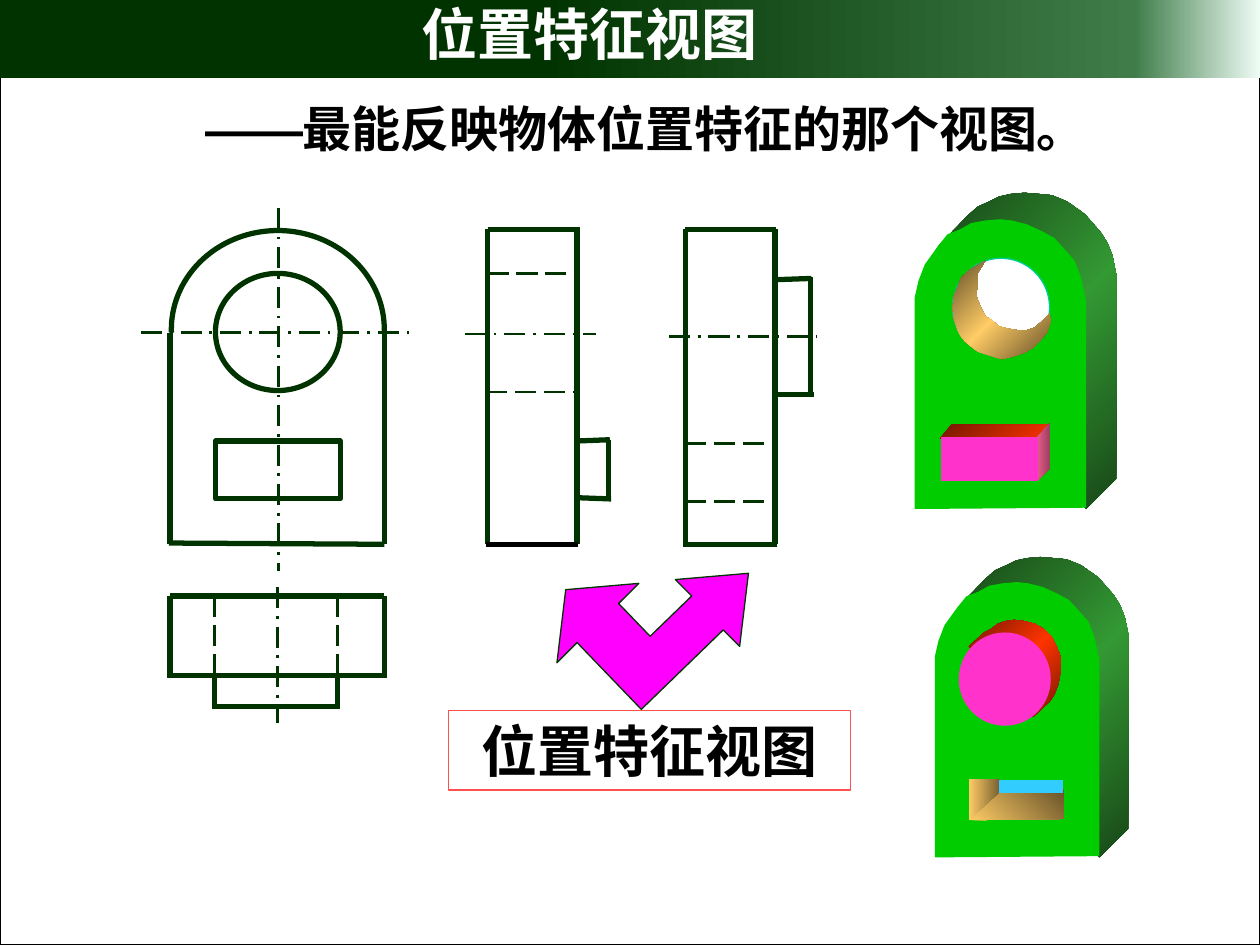
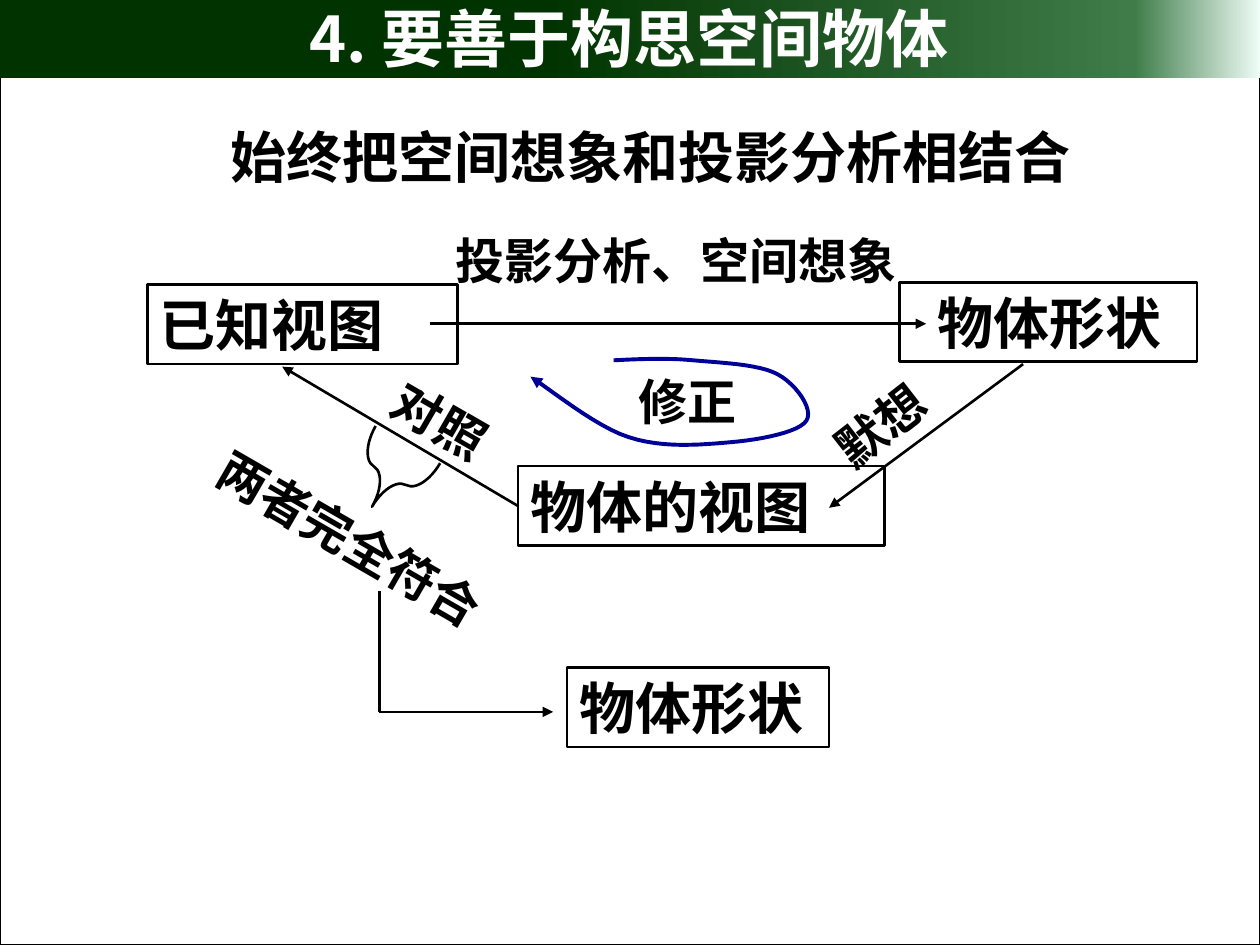
from lxml.etree import SubElement
from pptx import Presentation
from pptx.dml.color import RGBColor as RGB
from pptx.enum.dml import MSO_LINE
from pptx.enum.shapes import MSO_CONNECTOR, MSO_SHAPE as SHAPE
from pptx.enum.text import MSO_ANCHOR as ANCHOR, PP_ALIGN as ALIGN
from pptx.oxml.ns import qn
from pptx.util import Inches, Pt

BLACK = RGB(0, 0, 0)
WHITE = RGB(255, 255, 255)
DARK = RGB(0x00, 0x33, 0x00)
GREEN = RGB(0x00, 0xCC, 0x00)
PINK = RGB(0xFF, 0x33, 0xCC)
PURPLE = RGB(0xFF, 0x00, 0xFF)
SKY = RGB(0x33, 0xCC, 0xFF)
TEAL = RGB(0x00, 0xCC, 0x99)
CORAL = RGB(0xFF, 0x50, 0x50)
NAVY = RGB(0x00, 0x00, 0x99)
MOSS = RGB(0x18, 0x47, 0x18)
LEAF = RGB(0x33, 0x99, 0x33)
SAND = RGB(0xFF, 0xCC, 0x66)
BROWN = RGB(0x64, 0x50, 0x28)
RUST = RGB(0x76, 0x18, 0x00)
RED = RGB(0xFF, 0x33, 0x00)

# Gradients: stops in percent, then the angle
BAND = ([(43, DARK), (90, RGB(0x3F, 0x7C, 0x49)), (100, RGB(0xEE, 0xFC, 0xF6))], 0)
SIDE = ([(0, MOSS), (50, LEAF), (100, MOSS)], 45)
BORE = ([(0, BROWN), (50, SAND), (100, BROWN)], 45)
PEG = ([(0, RUST), (50, RED), (100, RUST)], 45)
LEDGE = ([(0, RUST), (100, RED)], 45)
CHEEK = ([(0, RGB(0xFF, 0x66, 0x99)), (100, RGB(0xA0, 0x40, 0x60))], 0)
FLOOR = ([(0, SAND), (100, RGB(0x69, 0x54, 0x2A))], 315)
WALL = ([(0, SAND), (100, RGB(0x76, 0x5E, 0x2F))], 0)

CJK = "Noto Sans CJK SC"
ROMAN = "Times New Roman"


def paint(shape, fill=None, line=None, width=0.75, dash=None, arrow=False):
    """Set the fill, line and arrowhead of a shape or connector; no shadow."""
    props = shape._element.spPr
    if hasattr(shape, "fill"):
        if fill is None:
            shape.fill.background()
        elif isinstance(fill, RGB):
            shape.fill.solid()
            shape.fill.fore_color.rgb = fill
        else:
            shape.fill.gradient()
            stops = props.find(".//" + qn("a:gsLst"))
            stops.clear()
            for spot, color in fill[0]:
                stop = SubElement(stops, qn("a:gs"), pos=str(spot * 1000))
                SubElement(stop, qn("a:srgbClr"), val=str(color))
            props.find(".//" + qn("a:lin")).set("ang", str(fill[1] * 60000))
    if line is None:
        shape.line.fill.background()
    else:
        shape.line.color.rgb = line
        shape.line.width = Pt(width)
        if dash:
            shape.line.dash_style = dash
        if arrow:
            SubElement(props.find(qn("a:ln")), qn("a:tailEnd"), type="triangle")
    SubElement(props, qn("a:effectLst"))
    return shape


def write(shape, runs, size, color=BLACK, anchor=ANCHOR.TOP, align=ALIGN.LEFT):
    """Put one bold line of (text, font) runs in a shape."""
    frame = shape.text_frame
    frame.word_wrap = True
    frame.vertical_anchor = anchor
    para = frame.paragraphs[0]
    para.alignment = align
    for text, face in runs:
        run = para.add_run()
        run.text = text
        for name, value in {"size": Pt(size), "bold": True, "name": face}.items():
            setattr(run.font, name, value)
        run.font.color.rgb = color
        east = CJK if face == ROMAN else face
        SubElement(run._r.get_or_add_rPr(), qn("a:ea"), typeface=east)
    return shape


deck = Presentation()
deck.slide_width, deck.slide_height = Inches(10), Inches(7.5)

# Frame, band and title of both slides
titles = [
    ("位置特征视图", 32, (3.25, -0.05, 3.53, 0.63)),
    ("4. 要善于构思空间物体", 36, (2.36, -0.05, 6.04, 0.7)),
]
pages = []
for text, size, place in titles:
    page = deck.slides.add_slide(deck.slide_layouts[6]).shapes
    paint(page.add_shape(SHAPE.RECTANGLE, 0, 0, Inches(10), Inches(7.5)), line=BLACK)
    paint(page.add_shape(SHAPE.RECTANGLE, 0, Inches(-0.02), Inches(10), Inches(0.64)), BAND)
    write(page.add_textbox(*map(Inches, place)), [(text, CJK)], size, WHITE, ANCHOR.MIDDLE)
    pages.append(page)
views, flow = pages

# Slide 1: subtitle
lead = views.add_textbox(*map(Inches, (1.53, 0.73, 7.4, 0.57)))
write(lead, [("——", "Arial"), ("最能反映物体位置特征的那个视图。", CJK)], 28, anchor=ANCHOR.MIDDLE)
lead.text_frame.word_wrap = False

# Front view: arch, mask over its lower half, hole and block
for kind, place, fill, line in [
    (SHAPE.OVAL, (1.36, 1.83, 1.69, 1.57), None, DARK),
    (SHAPE.RECTANGLE, (1.24, 2.64, 1.93, 0.81), WHITE, None),
    (SHAPE.OVAL, (1.71, 2.17, 0.99, 0.93), None, DARK),
    (SHAPE.RECTANGLE, (1.71, 3.5, 0.99, 0.46), None, DARK),
]:
    paint(views.add_shape(kind, *map(Inches, place)), fill, line, 3)

# Straight lines of the views: edges, hidden edges, axes
edges = [
    # front
    (1.35, 2.64, 1.35, 4.32), (3.05, 2.63, 3.05, 4.32), (1.34, 4.31, 3.05, 4.32),
    # top
    (1.35, 4.73, 3.05, 4.73), (1.35, 4.73, 1.35, 5.38), (1.35, 5.36, 3.05, 5.36),
    (3.05, 4.73, 3.05, 5.38), (1.7, 5.38, 1.7, 5.63), (1.7, 5.61, 2.68, 5.61),
    (2.68, 5.36, 2.68, 5.63),
    # first side
    (3.87, 1.82, 3.87, 4.32), (3.87, 1.82, 4.6, 1.82), (4.58, 1.82, 4.58, 4.32),
    (4.83, 3.98, 4.83, 3.49), (4.85, 3.96, 4.58, 3.95), (4.84, 3.49, 4.58, 3.5),
    # second side
    (5.44, 1.82, 5.44, 4.34), (5.44, 1.82, 6.16, 1.82), (6.15, 1.82, 6.15, 4.32),
    (6.17, 4.32, 5.44, 4.32), (6.43, 3.13, 6.43, 2.2), (6.44, 2.21, 6.16, 2.22),
    (6.46, 3.13, 6.17, 3.13),
]
hidden = [
    (1.7, 4.73, 1.7, 5.36), (2.68, 4.73, 2.68, 5.34), (3.86, 3.11, 4.58, 3.11),
    (3.87, 2.17, 4.56, 2.17), (5.44, 3.52, 6.16, 3.52), (5.44, 3.98, 6.16, 3.98),
]
axes = [
    (2.21, 1.65, 2.21, 4.53), (1.12, 2.64, 3.28, 2.64), (2.2, 4.66, 2.2, 5.74),
    (3.69, 2.65, 4.73, 2.65), (5.31, 2.67, 6.48, 2.67),
]
base = [(3.86, 4.32, 4.59, 4.32)]
for group, color, width, dash in [
    (edges, DARK, 3, None),
    (hidden, DARK, 1.5, MSO_LINE.LONG_DASH),
    (axes, DARK, 1.5, MSO_LINE.LONG_DASH_DOT),
    (base, BLACK, 3, None),
]:
    for ends in group:
        rule = views.add_connector(MSO_CONNECTOR.STRAIGHT, *map(Inches, ends))
        paint(rule, line=color, width=width, dash=dash)

# Solids: the lower body is the upper one moved and scaled
back = [
    (8.62, 4.04), (8.86, 3.8), (8.86, 2.18), (8.83, 2.03), (8.79, 1.93), (8.74, 1.85),
    (8.68, 1.78), (8.61, 1.7), (8.54, 1.65), (8.47, 1.6), (8.35, 1.55), (8.25, 1.54),
    (8.13, 1.53), (8.02, 1.54), (7.93, 1.56), (7.85, 1.6), (7.76, 1.64), (7.68, 1.71),
    (7.45, 1.95), (8.27, 1.96), (8.53, 2.5), (8.57, 3.99),
]
face = [
    (7.26, 4.04), (8.62, 4.03), (8.62, 2.39), (8.58, 2.2), (8.53, 2.07), (8.47, 2),
    (8.37, 1.89), (8.28, 1.84), (8.15, 1.78), (8.03, 1.75), (7.94, 1.74), (7.82, 1.75),
    (7.71, 1.77), (7.62, 1.82), (7.52, 1.86), (7.44, 1.96), (7.34, 2.1), (7.29, 2.23),
    (7.26, 2.36),
]
bore = [
    (7.82, 2.07), (7.75, 2.11), (7.7, 2.14), (7.63, 2.2), (7.6, 2.28), (7.57, 2.35),
    (7.56, 2.44), (7.57, 2.53), (7.6, 2.62), (7.62, 2.66), (7.66, 2.71), (7.72, 2.76),
    (7.76, 2.79), (7.85, 2.82), (7.95, 2.85), (8.04, 2.83), (8.13, 2.8), (8.2, 2.76),
    (8.26, 2.7), (8.31, 2.64), (8.34, 2.55), (8.33, 2.49), (8.27, 2.55), (8.21, 2.6),
    (8.15, 2.62), (8.07, 2.62), (8.01, 2.61), (7.93, 2.59), (7.87, 2.54), (7.82, 2.51),
    (7.78, 2.43), (7.75, 2.35), (7.76, 2.23), (7.76, 2.17),
]
peg = [
    (7.69, 5.13), (7.81, 5.02), (7.87, 4.99), (7.92, 4.95), (7.98, 4.93), (8.05, 4.92),
    (8.13, 4.93), (8.21, 4.95), (8.28, 4.99), (8.35, 5.06), (8.39, 5.14), (8.42, 5.22),
    (8.42, 5.32), (8.4, 5.43), (8.37, 5.51), (8.33, 5.57), (8.2, 5.69),
]
fork = [
    (5.94, 4.55), (5.36, 4.6), (5.49, 4.73), (5.16, 5.05), (4.91, 4.79), (5.07, 4.63),
    (4.49, 4.68), (4.42, 5.26), (4.58, 5.1), (5.09, 5.63), (5.74, 5), (5.87, 5.13),
]
low_back, low_face = [
    [(7.42 + (x - 7.26) * 0.96, 4.62 + (y - 1.74) * 0.95) for x, y in body]
    for body in (back, face)
]
hole = (7.56, 2.05, 0.77, 0.78)
knob = (7.61, 5.02, 0.73, 0.74)
for part, fill, line in [
    (low_back, SIDE, None),
    (low_face, GREEN, None),
    (peg, PEG, None),
    (knob, PINK, None),
    ([(7.69, 6.51), (8.44, 6.5), (8.44, 6.27), (7.93, 6.27)], FLOOR, None),
    ([(7.69, 6.51), (7.69, 6.18), (7.94, 6.18), (7.94, 6.28)], WALL, None),
    ([(7.93, 6.19), (8.44, 6.19), (8.44, 6.29), (7.93, 6.29)], SKY, None),
    (back, SIDE, None),
    (face, GREEN, None),
    (hole, WHITE, TEAL),
    (bore, BORE, None),
    ([(7.46, 3.48), (7.55, 3.37), (8.33, 3.37), (8.18, 3.52)], LEDGE, None),
    ([(8.33, 3.36), (8.33, 3.72), (8.23, 3.82), (8.2, 3.51)], CHEEK, None),
    ([(7.47, 3.47), (7.47, 3.82), (8.24, 3.82), (8.24, 3.47)], PINK, None),
    (fork, PURPLE, DARK),
]:
    if isinstance(part, tuple):
        shape = views.add_shape(SHAPE.OVAL, *map(Inches, part))
    else:
        dots = [(Inches(x), Inches(y)) for x, y in part]
        pen = views.build_freeform(*dots[0])
        pen.add_line_segments(dots[1:], close=True)
        shape = pen.convert_to_shape()
    paint(shape, fill, line)

# Label under the forked arrow
label = views.add_shape(SHAPE.RECTANGLE, *map(Inches, (3.56, 5.64, 3.19, 0.63)))
paint(label, line=CORAL)
write(label, [("位置特征视图", CJK)], 32, anchor=ANCHOR.MIDDLE, align=ALIGN.CENTER)

# Slide 2: boxed steps
steps = {}
for key, text, place in [
    ("shape", "物体形状", (7.14, 2.24, 2.36, 0.63)),
    ("view", "物体的视图", (4.11, 3.7, 2.91, 0.63)),
    ("given", "已知视图", (1.17, 2.26, 2.46, 0.63)),
    ("result", "物体形状", (4.5, 5.3, 2.08, 0.63)),
]:
    steps[key] = paint(flow.add_shape(SHAPE.RECTANGLE, *map(Inches, place)), line=BLACK, width=1.5)
    write(steps[key], [(text, ROMAN)], 32)
steps["shape"].text_frame.margin_left = Inches(0.3)

# Free labels
for text, size, place, turn in [
    ("始终把空间想象和投影分析相结合", 32, (1.73, 0.92, 7.77, 0.63), 0),
    ("投影分析、空间想象", 28, (3.52, 1.78, 3.74, 0.57), 0),
    ("默想", 28, (6.46, 2.97, 1.35, 0.57), 322),
    ("对照", 28, (2.99, 3.11, 1.2, 0.57), 30),
    ("修正", 28, (4.97, 2.9, 1.09, 0.57), 0),
    ("两者完全符合", 28, (1.5, 4.04, 2.73, 0.57), 30),
]:
    note = write(flow.add_textbox(*map(Inches, place)), [(text, ROMAN)], size)
    note.rotation = turn

# Links between the steps
for ends, arrow, start in [
    ((3.41, 2.57, 7.35, 2.57), True, None),
    ((8.12, 2.89, 6.58, 4.03), True, None),
    ((4.11, 4.03, 2.24, 2.91), True, "view"),
    ((3.01, 5.65, 4.39, 5.65), True, None),
    ((3.01, 5.65, 3.01, 4.69), False, None),
]:
    link = flow.add_connector(MSO_CONNECTOR.STRAIGHT, *map(Inches, ends))
    if start:
        link.begin_connect(steps[start], 1)
    paint(link, line=BLACK, width=1.5, arrow=arrow)

# Brace below the comparison
brace = flow.add_shape(SHAPE.LEFT_BRACE, *map(Inches, (2.81, 3.48, 0.57, 0.59)))
brace.adjustments[0] = 0.7
brace.rotation = 300
paint(brace, line=BLACK, width=1.5)

# Correction loop: cubic curves cut into short steps
knots = [
    (4.87, 2.86), (5.08, 2.85), (5.29, 2.84), (5.5, 2.86), (5.72, 2.88), (6.02, 2.89),
    (6.17, 2.97), (6.32, 3.05), (6.46, 3.25), (6.4, 3.34), (6.34, 3.43), (6.04, 3.49),
    (5.8, 3.51), (5.57, 3.53), (5.26, 3.56), (4.99, 3.47), (4.73, 3.39), (4.34, 3.07),
    (4.21, 2.99),
]
trail = []
for i in range(0, len(knots) - 1, 3):
    for t in [n / 12 for n in range(1, 13)]:
        mix = ((1 - t) ** 3, 3 * t * (1 - t) ** 2, 3 * t * t * (1 - t), t ** 3)
        x, y = [sum(m * k[a] for m, k in zip(mix, knots[i:i + 4])) for a in (0, 1)]
        trail.append((Inches(x), Inches(y)))
pen = flow.build_freeform(*map(Inches, knots[0]))
pen.add_line_segments(trail, close=False)
paint(pen.convert_to_shape(), line=NAVY, width=2.25, arrow=True)

deck.save("out.pptx")
